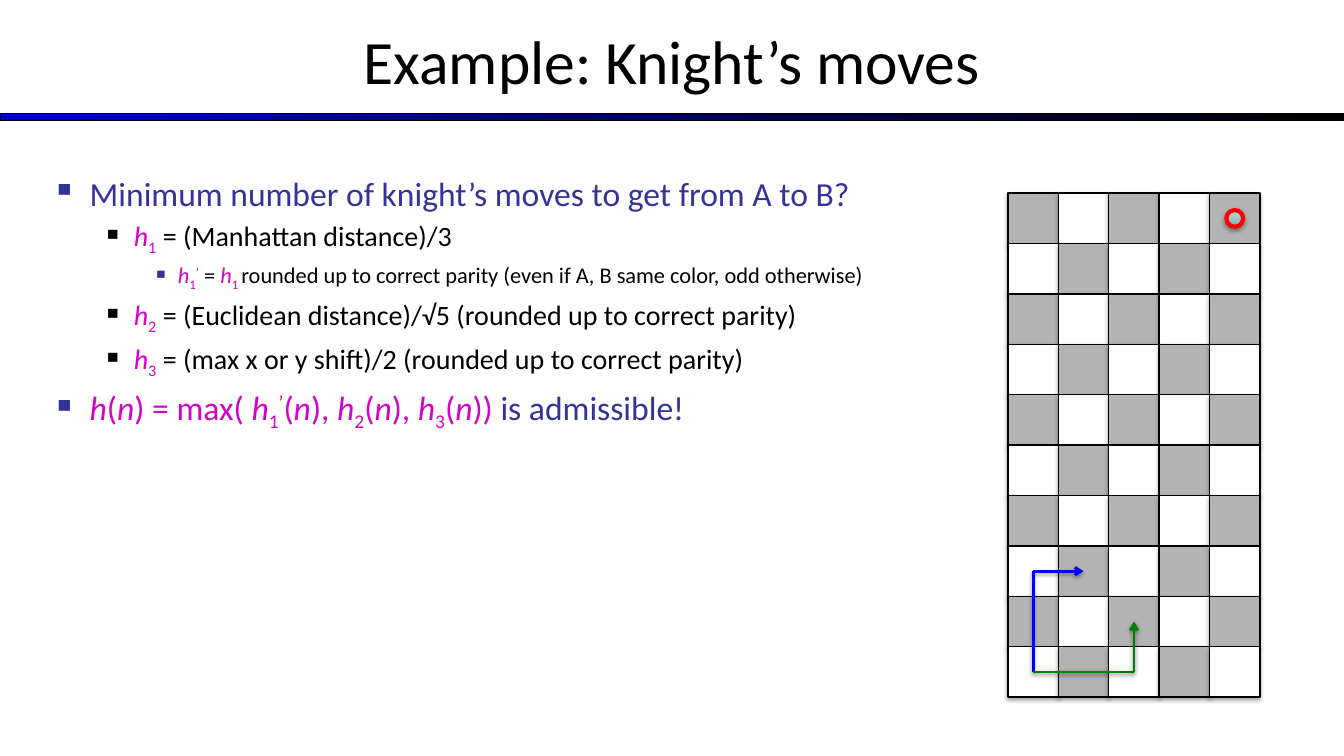
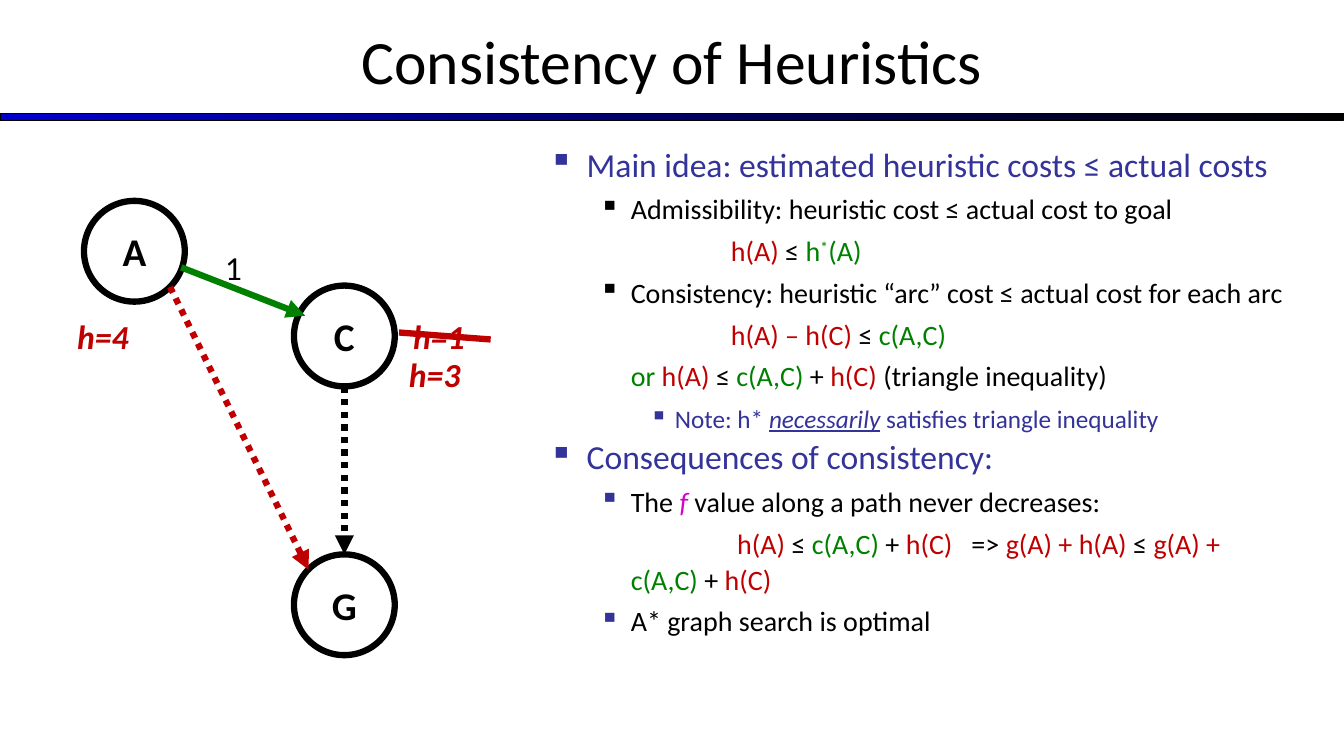
from itertools import product

from lxml.etree import SubElement
from pptx import Presentation
from pptx.dml.color import RGBColor
from pptx.enum.dml import MSO_LINE
from pptx.enum.shapes import MSO_CONNECTOR, MSO_SHAPE as Shape
from pptx.enum.text import MSO_ANCHOR as Anchor, PP_ALIGN as Align
from pptx.oxml.ns import qn
from pptx.util import Pt

# Shared look
WIDTH, HEIGHT = 960, 540
FONT = "Calibri"
BLACK, WHITE, GREY = "000000", "FFFFFF", "B3B3B3"
INDIGO, MAGENTA, RED, GREEN = "333399", "D303CA", "C00000", "008000"
BLUE, BRIGHT_RED = "0000FF", "FF0000"
BAND = ("0000CC", BLACK)

# Paragraph styles: text size, left margin, first-line indent, bullet colour
STYLES = {
    "main": (24, 27, -27, INDIGO),
    "point": (20, 58.5, -22.5, BLACK),
    "result": (20, 58.5, -22.5, INDIGO),
    "detail": (16, 90, -18, INDIGO),
    "note": (18, 90, -18, INDIGO),
    "formula": (20, 58.5, 71.5, None),
    "remark": (20, 58.5, 0, None),
}

# Extra run attributes by mark
MARKS = {
    "sub": ("baseline", "-25000"),
    "sup": ("baseline", "30000"),
    "wide": ("spc", "900"),
}

# Chess board
BOARD_LEFT, BOARD_TOP, CELL = 720, 138, 36
COLUMNS, ROWS = 5, 10


def rgb(colour):
    return RGBColor.from_string(colour)


# Text
def add_span(para, text, colour, size, marks=""):
    span = para.add_run()
    span.text = text
    font = span.font
    font.name, font.size, font.color.rgb = FONT, Pt(size), rgb(colour)
    for mark in marks.split():
        if mark in MARKS:
            span._r.get_or_add_rPr().set(*MARKS[mark])
        else:
            setattr(font, mark, True)


def add_box(page, left, top, width, height, wrap=True):
    box = page.shapes.add_textbox(Pt(left), Pt(top), Pt(width), Pt(height))
    box.text_frame.word_wrap = wrap
    return box.text_frame


def add_label(page, left, top, width, text, colour=RED, marks="bold italic"):
    frame = add_box(page, left, top, width, 36, wrap=False)
    add_span(frame.paragraphs[0], text, colour, 24, marks)


def style_para(para, style, line_spacing):
    size, margin, indent, bullet = STYLES[style]
    para.space_before = Pt(size * 0.2)
    if line_spacing:
        para.line_spacing = Pt(line_spacing)
    props = para._p.get_or_add_pPr()
    props.set("marL", str(Pt(margin)))
    props.set("indent", str(Pt(indent)))
    if bullet:
        tint = SubElement(props, qn("a:buClr"))
        SubElement(tint, qn("a:srgbClr"), val=bullet)
        SubElement(props, qn("a:buChar"), char="▪")
    else:
        SubElement(props, qn("a:buNone"))
    return size


def add_body(page, bounds, content, line_spacing=None):
    frame = add_box(page, *bounds)
    for index, (style, *spans) in enumerate(content):
        para = frame.add_paragraph() if index else frame.paragraphs[0]
        size = style_para(para, style, line_spacing)
        for text, colour, *marks in spans:
            add_span(para, text, colour, size, *marks)


# Shapes and lines
def cast_shadow(effects, opacity, distance):
    shadow = SubElement(effects, qn("a:outerShdw"), blurRad=str(Pt(3.1)),
                        dist=str(Pt(distance)), dir="5400000", rotWithShape="0")
    tint = SubElement(shadow, qn("a:srgbClr"), val=BLACK)
    SubElement(tint, qn("a:alpha"), val=str(opacity * 1000))


def add_figure(page, kind, bounds, fill, line, weight, shadow=False):
    figure = page.shapes.add_shape(kind, *map(Pt, bounds))
    figure.shadow.inherit = False
    if shadow:
        cast_shadow(figure._element.spPr.find(qn("a:effectLst")), 35, 1.8)
    if fill:
        figure.fill.solid()
        figure.fill.fore_color.rgb = rgb(fill)
    figure.line.color.rgb = rgb(line)
    figure.line.width = Pt(weight)
    return figure


def shade(figure, colours, angle):
    figure.fill.gradient()
    figure.fill.gradient_angle = angle
    for stop, colour in zip(figure.fill.gradient_stops, colours):
        stop.color.rgb = rgb(colour)


def add_line(page, start, end, colour, weight, head=None, dotted=False, shadow=False):
    line = page.shapes.add_connector(MSO_CONNECTOR.STRAIGHT, *map(Pt, (*start, *end)))
    line.line.color.rgb = rgb(colour)
    line.line.width = Pt(weight)
    if dotted:
        line.line.dash_style = MSO_LINE.ROUND_DOT
    props = line._element.spPr
    if head:
        SubElement(props.find(qn("a:ln")), qn("a:tailEnd"), type=head)
    effects = SubElement(props, qn("a:effectLst"))
    if shadow:
        cast_shadow(effects, 38, 1.6)


def add_node(page, name, centre_x, centre_y):
    bounds = (centre_x - 36, centre_y - 36, 72, 72)
    node = add_figure(page, Shape.OVAL, bounds, WHITE, BLACK, 4.5)
    frame = node.text_frame
    frame.vertical_anchor = Anchor.MIDDLE
    para = frame.paragraphs[0]
    para.alignment = Align.CENTER
    add_span(para, name, BLACK, 28, "bold")


# Page frame: band and title
def start_page(deck, title):
    page = deck.slides.add_slide(deck.slide_layouts[6])
    band = add_figure(page, Shape.RECTANGLE, (0, 81, WIDTH, 5), None, BLACK, 0.75)
    shade(band, BAND, 0)
    frame = add_box(page, 0, 0, WIDTH, 86)
    frame.vertical_anchor = Anchor.MIDDLE
    para = frame.paragraphs[0]
    para.alignment = Align.CENTER
    add_span(para, title, BLACK, 44)
    return page


# Knight's moves
def heuristic(index, prime=False):
    spans = [("h", MAGENTA, "italic"), (index, MAGENTA, "sub")]
    return spans + [("’", MAGENTA, "sup")] if prime else spans


def applied(closing):
    return [("(", MAGENTA), ("n", MAGENTA, "italic"), (closing, MAGENTA)]


def cell_centre(column, row):
    return BOARD_LEFT + (column + 0.5) * CELL, BOARD_TOP + (row + 0.5) * CELL


def add_board(page):
    for row, column in product(range(ROWS), range(COLUMNS)):
        bounds = (BOARD_LEFT + column * CELL, BOARD_TOP + row * CELL, CELL, CELL)
        fill = WHITE if (row + column) % 2 else GREY
        add_figure(page, Shape.RECTANGLE, bounds, fill, BLACK, 1, shadow=True)
    x, y = cell_centre(COLUMNS - 1, 0)
    goal = add_figure(page, Shape.OVAL, (x - 6, y - 6, 12, 12), None, BRIGHT_RED, 3, shadow=True)
    shade(goal, ("87ABAE", "AFE0E4"), 90)


def add_move(page, cells, colour):
    start, corner, end = (cell_centre(*cell) for cell in cells)
    add_line(page, start, corner, colour, 2, shadow=True)
    add_line(page, corner, end, colour, 2, head="arrow", shadow=True)


def knight_page(deck):
    page = start_page(deck, "Example: Knight’s moves")
    parity = "rounded up to correct parity"
    add_body(page, (30, 120, 647, 390), [
        ("main", ("Minimum number of knight’s moves to get from A to B?", INDIGO)),
        ("point", *heuristic("1"), (" = (Manhattan distance)/3", BLACK)),
        ("detail", *heuristic("1", prime=True), (" = ", BLACK), *heuristic("1 "),
         (f"{parity} (even if A, B same color, odd otherwise)", BLACK)),
        ("point", *heuristic("2"), (f" = (Euclidean distance)/√5 ({parity})", BLACK)),
        ("point", *heuristic("3"), (f" = (max x or y shift)/2 ({parity})", BLACK)),
        ("main", ("h", MAGENTA, "italic"), *applied(") = max( "),
         *heuristic("1", prime=True), *applied("), "),
         *heuristic("2"), *applied("), "), *heuristic("3"), *applied(")) "),
         ("is admissible!", INDIGO)),
    ])
    add_board(page)
    add_move(page, [(0, 9), (0, 7), (1, 7)], BLUE)
    add_move(page, [(0, 9), (2, 9), (2, 8)], GREEN)


# Consistency of heuristics
def add_graph(page):
    add_line(page, (246, 276), (246, 396), BLACK, 4.5, head="triangle", dotted=True)
    for name, x, y in (("A", 96, 179.5), ("C", 246, 240), ("G", 246, 432)):
        add_node(page, name, x, y)
    add_line(page, (121.5, 205), (220.5, 407), RED, 4.5, head="triangle", dotted=True)
    add_line(page, (129.5, 191), (218, 225.5), GREEN, 4.5, head="triangle")
    add_label(page, 48, 222, 58, "h=4")
    add_label(page, 288, 222, 58, "h=1")
    add_label(page, 285, 249, 52, "h=3")
    add_label(page, 153.5, 173, 26.5, "1", BLACK, "")
    add_line(page, (285, 237.5), (350.5, 242.5), RED, 4.5)


def consistency_page(deck):
    page = start_page(deck, "Consistency of Heuristics")
    at_most, plus = ("≤ ", BLACK), ("+ ", BLACK)
    estimate, arc_cost = ("h(A) ", RED), ("c(A,C) ", GREEN)
    add_body(page, (385, 102, 546, 263), [
        ("main", ("Main idea: estimated heuristic costs ≤ actual costs", INDIGO)),
        ("point", ("Admissibility: heuristic cost ≤ actual cost to goal", BLACK)),
        ("formula", estimate, at_most, ("h", GREEN), ("*", GREEN, "sup"), ("(A)", GREEN)),
        ("point", ("Consistency: heuristic “arc” cost ≤ actual cost for each arc", BLACK)),
        ("formula", ("h(A) – h(C) ", RED), at_most, ("c(A,C)", GREEN)),
        ("remark", ("or ", GREEN), estimate, at_most, arc_cost, plus, ("h(C) ", RED),
         ("(triangle inequality)", BLACK)),
        ("note", ("Note: h* ", INDIGO), ("necessarily", INDIGO, "italic underline"),
         (" satisfies triangle inequality", INDIGO)),
        ("main", ("Consequences of consistency:", INDIGO)),
        ("result", ("The ", BLACK), ("f", MAGENTA, "italic"),
         (" value along a path never decreases:", BLACK)),
        ("formula", (" h(A) ", RED), at_most, arc_cost, plus, ("h(C)", RED),
         (" ", RED, "wide"), ("=> ", BLACK), ("g(A) + h(A) ", RED), at_most,
         ("g(A) + ", RED), arc_cost, plus, ("h(C)", RED)),
        ("result", ("A* graph search is optimal", BLACK)),
    ], line_spacing=25.8)
    add_graph(page)


def main():
    deck = Presentation()
    deck.slide_width, deck.slide_height = Pt(WIDTH), Pt(HEIGHT)
    knight_page(deck)
    consistency_page(deck)
    deck.save("out.pptx")


if __name__ == "__main__":
    main()
